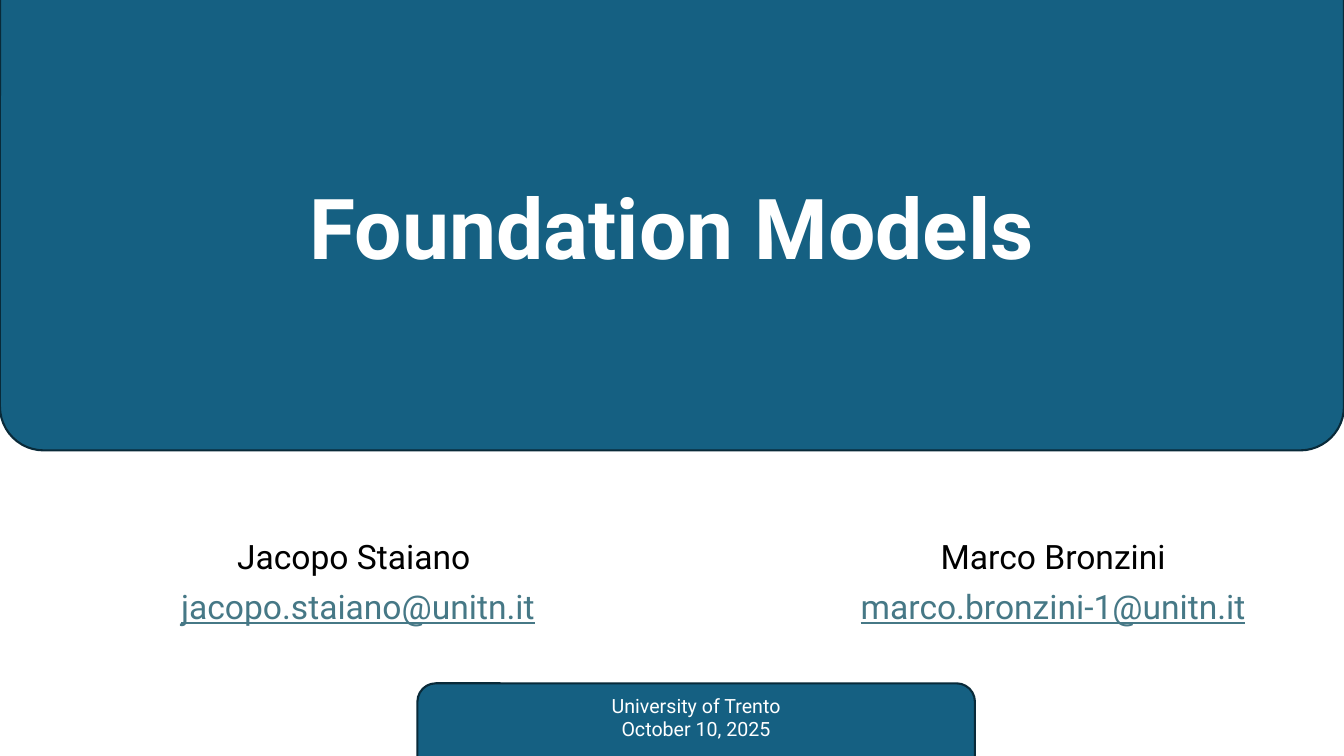
from dataclasses import dataclass

from pptx import Presentation
from pptx.dml.color import RGBColor
from pptx.enum.shapes import MSO_SHAPE
from pptx.enum.text import MSO_ANCHOR as ANCHOR, PP_ALIGN as ALIGN
from pptx.util import Cm, Pt

FONT = "Roboto"
BLUE, NAVY, LINK, WHITE, BLACK = "156082", "092A39", "467886", "FFFFFF", "000000"


@dataclass
class Line:
    text: str
    size: float
    color: str
    bold: bool = False
    underline: bool = False
    spacing: float = 0.9
    before: float = 0


@dataclass
class Panel:
    top: float
    left: float
    width: float
    height: float
    radius: float
    lines: list[Line]


@dataclass
class Author:
    left: float
    name: str
    email: str


def rgb(value: str) -> RGBColor:
    return RGBColor.from_string(value)


def add_lines(tf, lines: list[Line], anchor=ANCHOR.TOP) -> None:
    tf.word_wrap = True
    tf.vertical_anchor = anchor
    for i, line in enumerate(lines):
        p = tf.add_paragraph() if i else tf.paragraphs[0]
        p.alignment = ALIGN.CENTER
        p.line_spacing = line.spacing
        p.space_before = Pt(line.before)
        r = p.add_run()
        r.text = line.text
        r.font.name = FONT
        r.font.size = Pt(line.size)
        r.font.bold = line.bold
        r.font.underline = line.underline
        r.font.color.rgb = rgb(line.color)


def add_panel(s, panel: Panel) -> None:
    sp = s.shapes.add_shape(MSO_SHAPE.ROUNDED_RECTANGLE, Cm(panel.left), Cm(panel.top),
                            Cm(panel.width), Cm(panel.height))
    sp.adjustments[0] = panel.radius
    sp.shadow.inherit = False
    sp.fill.solid()
    sp.fill.fore_color.rgb = rgb(BLUE)
    sp.line.color.rgb = rgb(NAVY)
    sp.line.width = Pt(1.5)
    add_lines(sp.text_frame, panel.lines)


def add_text(s, left: float, top: float, width: float, height: float,
             lines: list[Line], anchor=ANCHOR.TOP) -> None:
    sp = s.shapes.add_textbox(Cm(left), Cm(top), Cm(width), Cm(height))
    add_lines(sp.text_frame, lines, anchor)


def main() -> None:
    prs = Presentation()
    prs.slide_width, prs.slide_height = Cm(33.87), Cm(19.05)
    s = prs.slides.add_slide(prs.slide_layouts[6])

    # Header and footer panels, bleeding over the slide edges
    footer = [Line(text, 14, WHITE, spacing=1)
              for text in ("University of Trento", "October 10, 2025")]
    for panel in (Panel(-2.11, 0, 33.87, 13.46, 0.082, []),
                  Panel(17.22, 10.52, 14.05, 2.77, 0.167, footer)):
        add_panel(s, panel)

    # Title
    add_text(s, 4.23, 3.12, 25.4, 3.99,
             [Line("Foundation Models", 60, WHITE, bold=True)], ANCHOR.BOTTOM)

    # Authors
    for author in (Author(2.39, "Jacopo Staiano ", "jacopo.staiano@unitn.it"),
                   Author(19.91, "Marco Bronzini", "marco.bronzini-1@unitn.it")):
        add_text(s, author.left, 13.49, 13.26, 2.6,
                 [Line(author.name, 24, BLACK),
                  Line(author.email, 24, LINK, underline=True, before=10)])

    prs.save("out.pptx")


if __name__ == "__main__":
    main()
